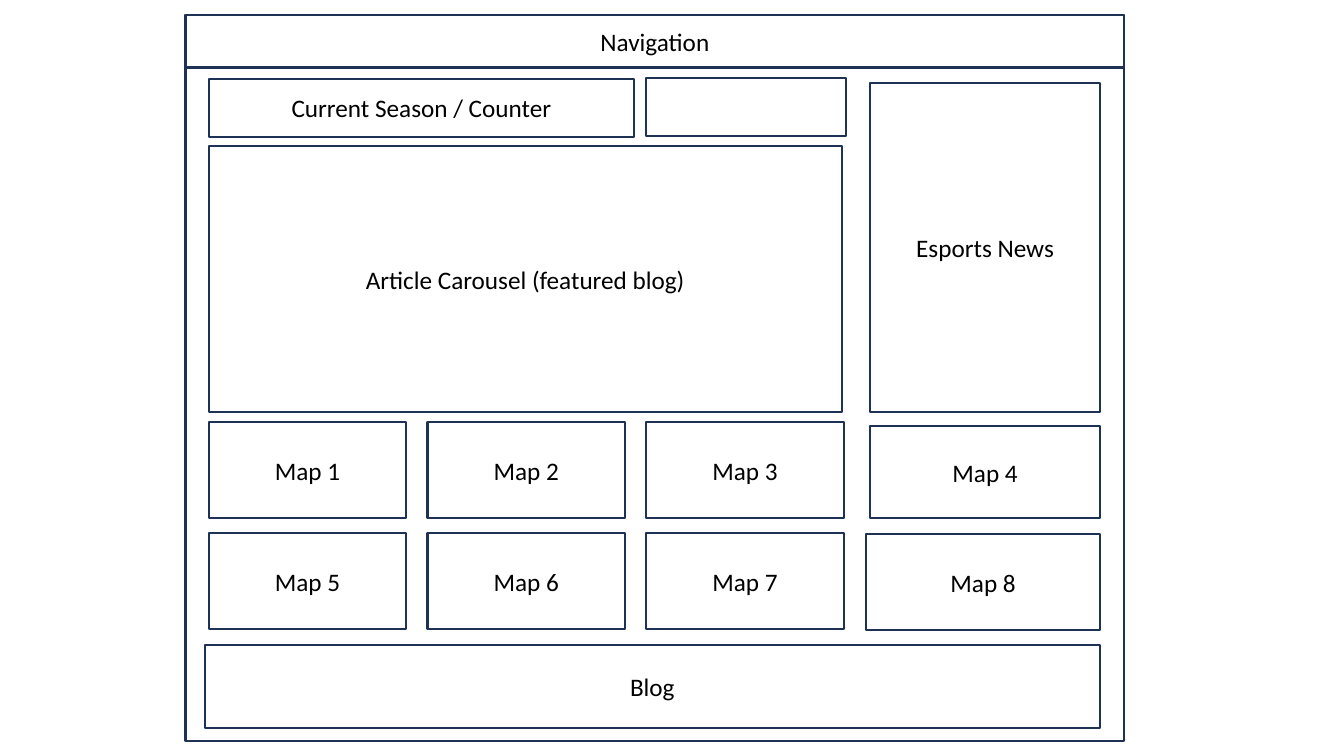
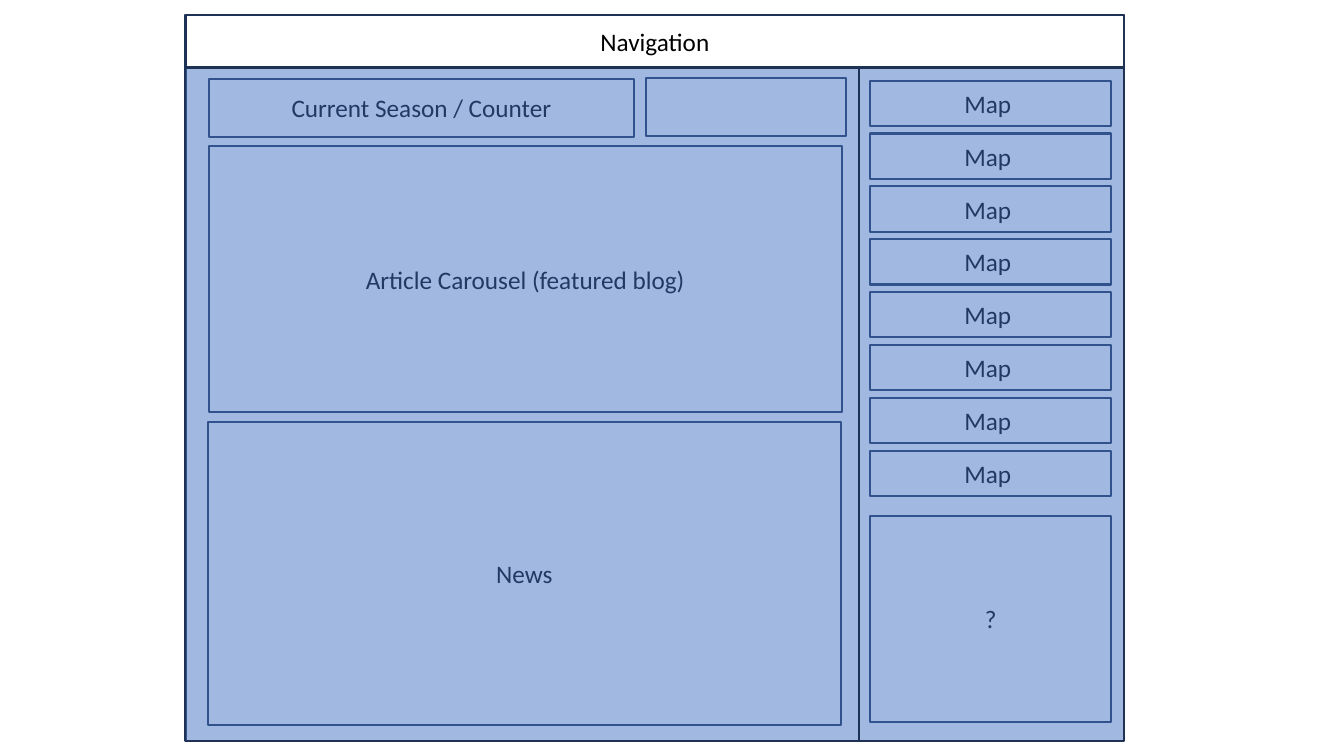
from dataclasses import dataclass

from lxml.etree import SubElement
from pptx import Presentation
from pptx.dml.color import RGBColor
from pptx.enum.shapes import MSO_SHAPE
from pptx.enum.text import MSO_ANCHOR, PP_ALIGN
from pptx.oxml.ns import qn
from pptx.util import Inches, Pt


@dataclass(frozen=True)
class Theme:
    paper: RGBColor = RGBColor(0xFF, 0xFF, 0xFF)
    outline: RGBColor = RGBColor(0x1E, 0x32, 0x56)
    ink: RGBColor = RGBColor(0, 0, 0)
    tint: RGBColor = RGBColor(0x44, 0x72, 0xC4)
    tint_opacity: int = 50
    font: str = "Calibri"
    label_size: int = 18
    panel_line: float = 1.5
    tint_line: float = 1


@dataclass(frozen=True)
class Box:
    left: float
    top: float
    width: float
    height: float

    def inner(self, left, top, width, height):
        """Return a box placed relative to this one's top left corner."""
        return Box(self.left + left, self.top + top, width, height)


THEME = Theme()
LABEL_FORMAT = {"name": THEME.font, "size": Pt(THEME.label_size)}
PAGE = Box(1.84, 0.15, 9.31, 7.2)
NAV_HEIGHT = 0.52


def add_rectangle(slide, box, fill, line_width):
    rectangle = slide.shapes.add_shape(
        MSO_SHAPE.RECTANGLE, Inches(box.left), Inches(box.top),
        Inches(box.width), Inches(box.height))
    rectangle.shadow.inherit = False
    rectangle.fill.solid()
    rectangle.fill.fore_color.rgb = fill
    rectangle.line.color.rgb = THEME.outline
    rectangle.line.width = Pt(line_width)
    return rectangle


def add_panel(slide, box, label=""):
    panel = add_rectangle(slide, box, THEME.paper, THEME.panel_line)
    if not label:
        return
    frame = panel.text_frame
    frame.word_wrap = True
    frame.vertical_anchor = MSO_ANCHOR.MIDDLE
    paragraph = frame.paragraphs[0]
    paragraph.alignment = PP_ALIGN.CENTER
    run = paragraph.add_run()
    run.text = label
    for attribute, value in LABEL_FORMAT.items():
        setattr(run.font, attribute, value)
    run.font.color.rgb = THEME.ink


def add_tint(slide, box):
    """Lay a see-through colour over a region."""
    tint = add_rectangle(slide, box, THEME.tint, THEME.tint_line)
    color = tint.element.spPr.find(qn("a:solidFill"))[0]
    SubElement(color, qn("a:alpha"), val=str(THEME.tint_opacity * 1000))


def add_page_top(slide, page):
    """Draw the page outline, navigation, season row and carousel."""
    add_panel(slide, page)
    add_panel(slide, page.inner(0, 0, page.width, NAV_HEIGHT), "Navigation")
    add_panel(slide, page.inner(0.23, 0.63, 4.22, 0.58), "Current Season / Counter")
    add_panel(slide, page.inner(4.57, 0.62, 1.98, 0.58))
    add_panel(slide, page.inner(0.23, 1.3, 6.28, 2.64), "Article Carousel (featured blog)")


def add_map_grid(slide, grid):
    """Draw two rows of maps; the last column is wider than the others."""
    last_column = (grid.inner(6.56, 0.04, 2.28, 0.91), grid.inner(6.52, 1.11, 2.32, 0.95))
    for row, last_box in enumerate(last_column):
        boxes = [grid.inner(2.17 * column, 1.1 * row, 1.96, 0.95) for column in range(3)]
        for number, box in enumerate(boxes + [last_box], start=4 * row + 1):
            add_panel(slide, box, f"Map {number}")


def add_map_list(slide, column, count=8, row_height=0.45):
    pitch = (column.height - row_height) / (count - 1)
    for row in range(count):
        add_panel(slide, column.inner(0, pitch * row, column.width, row_height), "Map ")


def build_grid_page(slide, page):
    add_page_top(slide, page)
    add_panel(slide, page.inner(6.79, 0.67, 2.28, 3.27), "Esports News")
    add_map_grid(slide, page.inner(0.23, 4.04, 8.84, 2.06))
    add_panel(slide, page.inner(0.19, 6.25, 8.88, 0.82), "Blog")


def build_sidebar_page(slide, page):
    add_page_top(slide, page)
    add_panel(slide, page.inner(0.22, 4.04, 6.28, 3), "News")
    add_map_list(slide, page.inner(6.79, 0.65, 2.39, 4.12))
    add_panel(slide, page.inner(6.79, 4.97, 2.39, 2.04), "?")
    main_width, body_top = 6.68, 0.53
    body_height = page.height - body_top
    add_tint(slide, page.inner(0, body_top, main_width, body_height))
    add_tint(slide, page.inner(main_width, body_top, page.width - main_width, body_height))


def main():
    deck = Presentation()
    deck.slide_width, deck.slide_height = Inches(13.33), Inches(7.5)
    blank = deck.slide_layouts[6]
    for build_page in (build_grid_page, build_sidebar_page):
        build_page(deck.slides.add_slide(blank), PAGE)
    deck.save("out.pptx")


if __name__ == "__main__":
    main()
